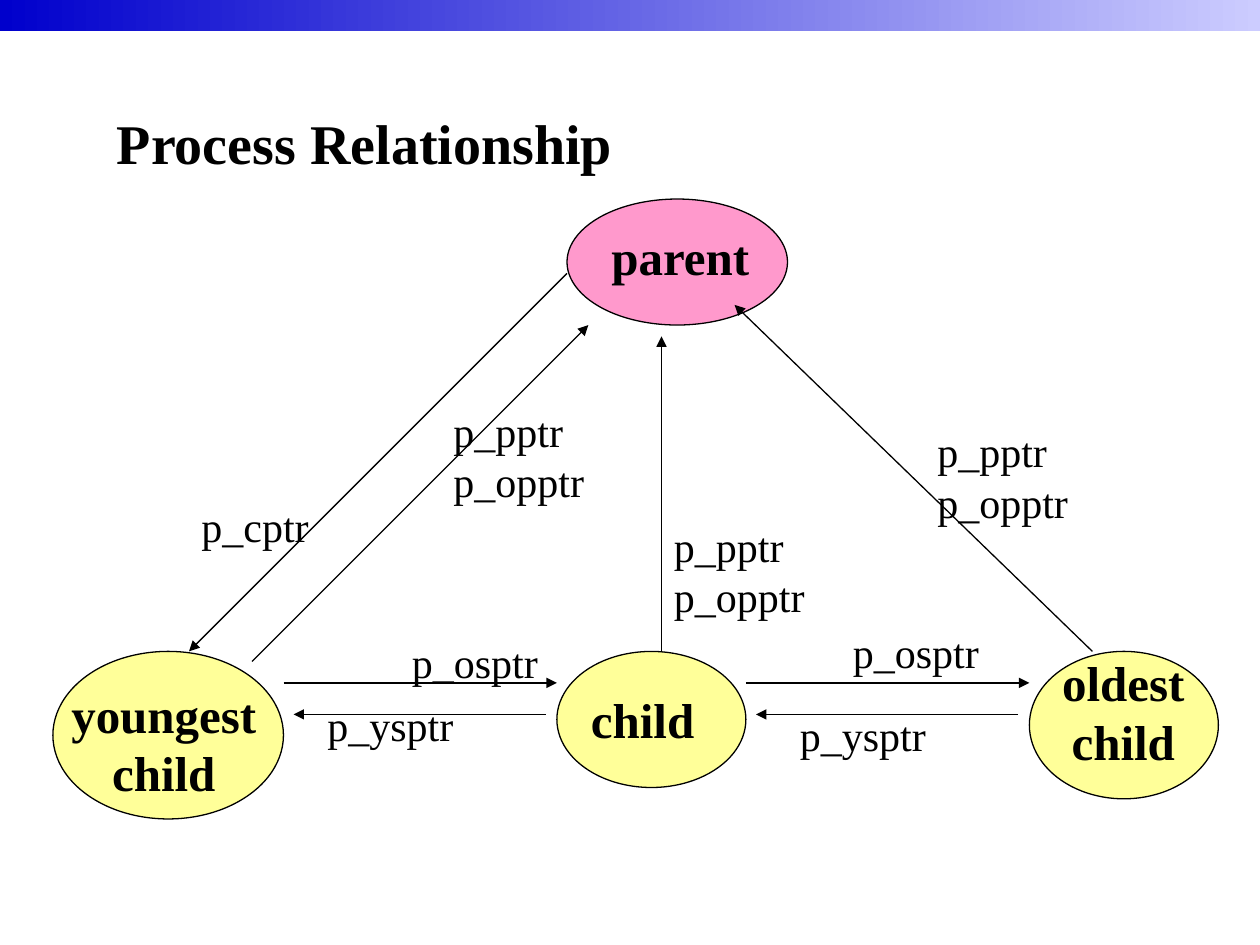
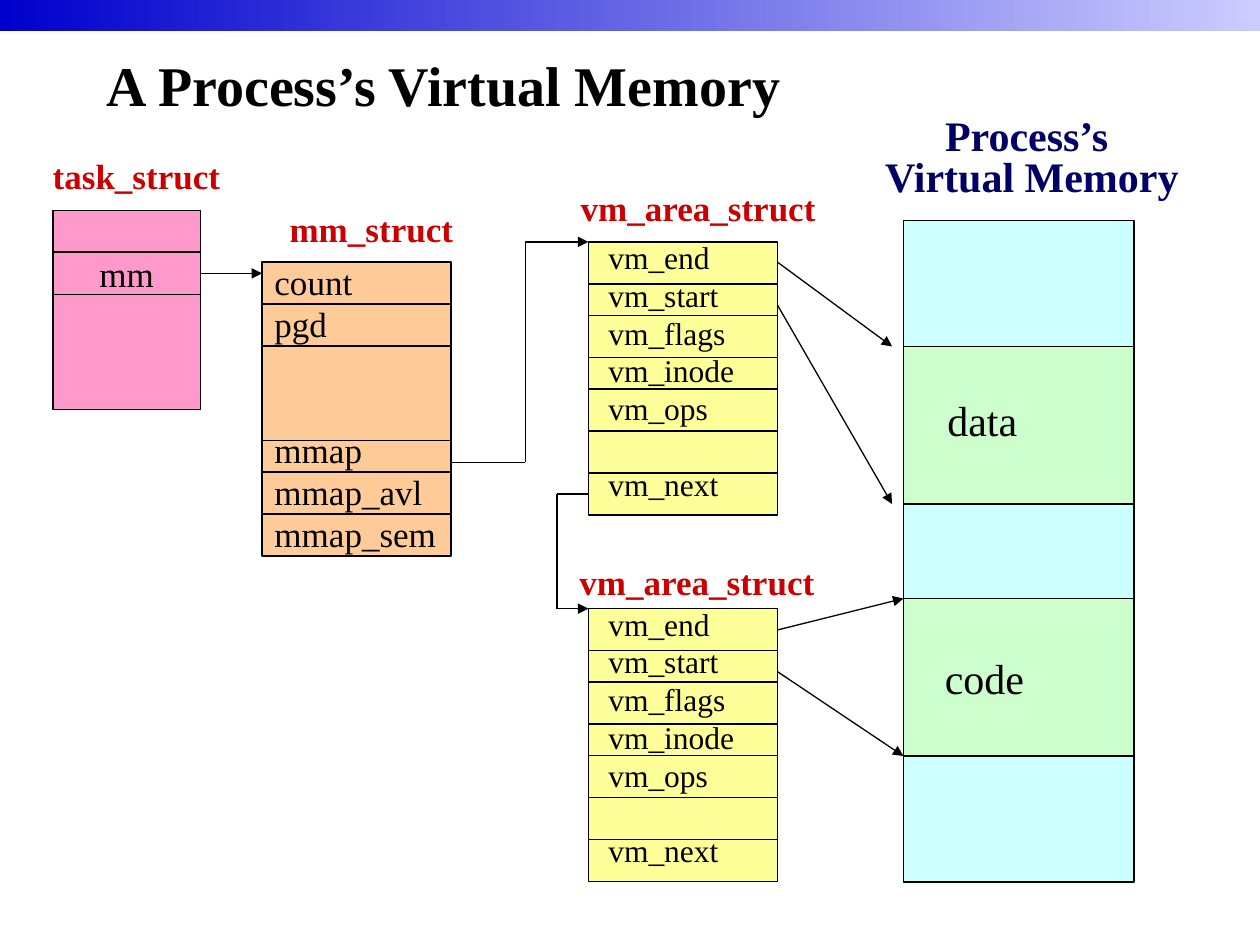
from itertools import accumulate

from lxml import etree
from pptx import Presentation
from pptx.dml.color import RGBColor
from pptx.enum.shapes import MSO_CONNECTOR, MSO_SHAPE
from pptx.enum.text import MSO_ANCHOR, MSO_AUTO_SIZE, PP_ALIGN
from pptx.oxml.ns import qn
from pptx.util import Inches, Pt

RECT, OVAL = MSO_SHAPE.RECTANGLE, MSO_SHAPE.OVAL
STRAIGHT = MSO_CONNECTOR.STRAIGHT
LEFT, CENTER = PP_ALIGN.LEFT, PP_ALIGN.CENTER
TOP, MIDDLE = MSO_ANCHOR.TOP, MSO_ANCHOR.MIDDLE
FIT, FIXED = MSO_AUTO_SIZE.SHAPE_TO_FIT_TEXT, MSO_AUTO_SIZE.NONE

BLACK = RGBColor(0x00, 0x00, 0x00)
BLUE = RGBColor(0x00, 0x00, 0xCC)
LILAC = RGBColor(0xCC, 0xCC, 0xFF)
NAVY = RGBColor(0x00, 0x00, 0x66)
RED = RGBColor(0xCC, 0x00, 0x00)
PINK = RGBColor(0xFF, 0x99, 0xCC)
YELLOW = RGBColor(0xFF, 0xFF, 0x99)
ORANGE = RGBColor(0xFF, 0xCC, 0x99)
CYAN = RGBColor(0xCC, 0xFF, 0xFF)
GREEN = RGBColor(0xCC, 0xFF, 0xCC)

FONT = "Times New Roman"
THIN = Pt(0.75)
ROW = 1 / 12  # unit of row height, inches

MM_ROWS = (4, 4, 9, 3, 4, 4)
MM_FIELDS = "count\npgd\nmmap\nmmap_avl\nmmap_sem"
VM_ROWS = (4, 3, 4, 3, 4, 4, 4)
VM_FIELDS = "vm_end\nvm_start\nvm_flags\nvm_inode\nvm_ops\nvm_next"


def write(frame, text, size=24, color=BLACK, bold=False, align=LEFT,
          anchor=TOP, wrap=False, fit=FIT, pitch=None, gaps=None):
    """Fill a text frame, one paragraph a line; gaps maps line to space before."""
    frame.word_wrap = wrap
    frame.auto_size = fit
    frame.vertical_anchor = anchor
    for i, line in enumerate(text.split("\n")):
        para = frame.add_paragraph() if i else frame.paragraphs[0]
        para.alignment = align
        if pitch:
            para.line_spacing = pitch
        if gaps and i in gaps:
            para.space_before = Pt(gaps[i])
        run = para.add_run()
        run.text = line
        run.font.name = FONT
        run.font.size = Pt(size)
        run.font.bold = bold
        run.font.color.rgb = color


def label(slide, text, left, top, width, height, **form):
    box = slide.shapes.add_textbox(
        Inches(left), Inches(top), Inches(width), Inches(height))
    write(box.text_frame, text, **form)


def block(slide, kind, left, top, width, height, color):
    shape = slide.shapes.add_shape(
        kind, Inches(left), Inches(top), Inches(width), Inches(height))
    shape.shadow.inherit = False
    shape.fill.solid()
    shape.fill.fore_color.rgb = color
    shape.line.color.rgb = BLACK
    shape.line.width = THIN
    return shape


def link(slide, *points, head=True):
    """Draw straight lines through the points, with an arrowhead at the end."""
    for start, end in zip(points, points[1:]):
        line = slide.shapes.add_connector(
            STRAIGHT, *(Inches(n) for n in start + end))
        line.line.color.rgb = BLACK
        line.line.width = THIN
        props = line.element.spPr
        if head and end == points[-1]:
            etree.SubElement(props.find(qn("a:ln")), qn("a:tailEnd"),
                             type="triangle")
        etree.SubElement(props, qn("a:effectLst"))
    return line


def struct(slide, left, top, rows, color):
    """Draw a record whose row heights are counted in units of ROW."""
    width = 1.5
    block(slide, RECT, left, top, width, sum(rows) * ROW, color)
    for step in list(accumulate(rows))[:-1]:
        y = top + step * ROW
        link(slide, (left, y), (left + width, y), head=False)


def start(deck, title, left, top, height):
    """Add a slide with the shared band and a title."""
    slide = deck.slides.add_slide(deck.slide_layouts[6])
    band = block(slide, RECT, 0, 0, 10, 0.25, BLUE)
    band.line.fill.background()
    band.fill.gradient()
    band.fill.gradient_angle = 0
    for stop, color in zip(band.fill.gradient_stops, (BLUE, LILAC)):
        stop.color.rgb = color
    label(slide, title, left, top, 8.5, height, size=32, bold=True,
          anchor=MIDDLE, wrap=True, fit=FIXED)
    return slide


def kin(deck):
    slide = start(deck, "Process Relationship", 0.83, 0.5, 1.25)
    for color, oval, text, box in (
        (PINK, (4.5, 1.58, 1.75, 1), "parent", (4.75, 1.75, 1.3, 0.57)),
        (YELLOW, (0.42, 5.17, 1.83, 1.33), "youngest\nchild",
         (0.35, 5.38, 1.9, 1.04)),
        (YELLOW, (4.42, 5.17, 1.5, 1.08), "child", (4.59, 5.42, 1.02, 0.57)),
        (YELLOW, (8.17, 5.17, 1.5, 1.17), "oldest\nchild",
         (8.33, 5.13, 1.17, 1.04)),
    ):
        block(slide, OVAL, *oval, color)
        label(slide, text, *box, size=28, bold=True, align=CENTER)

    for ends in (
        ((5.25, 5.17), (5.25, 2.67)),
        ((2.25, 5.42), (4.42, 5.42)),
        ((5.92, 5.42), (8.17, 5.42)),
        ((8.08, 5.67), (6, 5.67)),
        ((4.33, 5.67), (2.33, 5.67)),
        ((2, 5.25), (4.67, 2.58)),
        ((4.5, 2.17), (1.5, 5.17)),
        ((8.67, 5.17), (5.83, 2.42)),
    ):
        link(slide, *ends)

    for text, left, top in (
        ("p_osptr", 6.67, 4.92), ("p_osptr", 3.17, 5),
        ("p_ysptr", 6.25, 5.58), ("p_ysptr", 2.5, 5.5),
    ):
        label(slide, text, left, top, 1.2, 0.5)
    for left, top in ((5.25, 4.08), (7.34, 3.33), (3.5, 3.17)):
        label(slide, "p_pptr\np_opptr", left, top, 1.25, 0.9)
    label(slide, "p_cptr", 1.5, 3.92, 1.05, 0.5)


def memory(deck):
    slide = start(deck, "A Process’s Virtual Memory", 0.75, 0.25, 0.83)

    block(slide, RECT, 0.42, 1.67, 1.17, 1.58, PINK)
    cell = block(slide, RECT, 0.42, 2, 1.17, 0.34, PINK)
    write(cell.text_frame, "mm", size=20, align=CENTER, anchor=MIDDLE,
          fit=FIXED)
    link(slide, (1.59, 2.17), (2.08, 2.17)).begin_connect(cell, 3)

    struct(slide, 2.08, 2.08, MM_ROWS, ORANGE)
    label(slide, MM_FIELDS, 2.08, 2.02, 1.48, 2.44, size=20, gaps={2: 47.7})

    for top in (1.92, 4.83):
        struct(slide, 4.67, top, VM_ROWS, YELLOW)
        label(slide, VM_FIELDS, 4.73, top - 0.08, 1.2, 2.2, size=18,
              gaps={5: 21.5})

    for text, left, top, width in (
        ("task_struct", 0.32, 1.18, 1.53),
        ("mm_struct", 2.2, 1.6, 1.5),
        ("vm_area_struct", 4.51, 1.43, 2.07),
        ("vm_area_struct", 4.5, 4.4, 2.07),
    ):
        label(slide, text, left, top, width, 0.44, size=20, color=RED,
              bold=True)

    label(slide, "Process’s \nVirtual Memory", 6.92, 0.9, 2.54, 0.74,
          color=NAVY, bold=True, align=CENTER, pitch=0.8)
    block(slide, RECT, 7.17, 1.75, 1.83, 5.25, CYAN)
    for text, top, left, base, width in (
        ("data", 2.75, 7.42, 3.08, 0.77), ("code", 4.75, 7.4, 5.13, 0.83),
    ):
        block(slide, RECT, 7.17, top, 1.83, 1.25, GREEN)
        label(slide, text, left, base, width, 0.5)

    for points in (
        ((3.58, 3.67), (4.17, 3.67), (4.17, 1.92), (4.67, 1.92)),
        ((4.67, 3.92), (4.42, 3.92), (4.42, 4.83), (4.67, 4.83)),
        ((6.17, 2.08), (7.08, 2.75)),
        ((6.17, 2.42), (7.08, 4)),
        ((6.17, 5), (7.17, 4.75)),
        ((6.17, 5.33), (7.17, 6)),
    ):
        link(slide, *points)


def main():
    deck = Presentation()
    deck.slide_width, deck.slide_height = Inches(10), Inches(7.5)
    kin(deck)
    memory(deck)
    deck.save("out.pptx")


if __name__ == "__main__":
    main()
